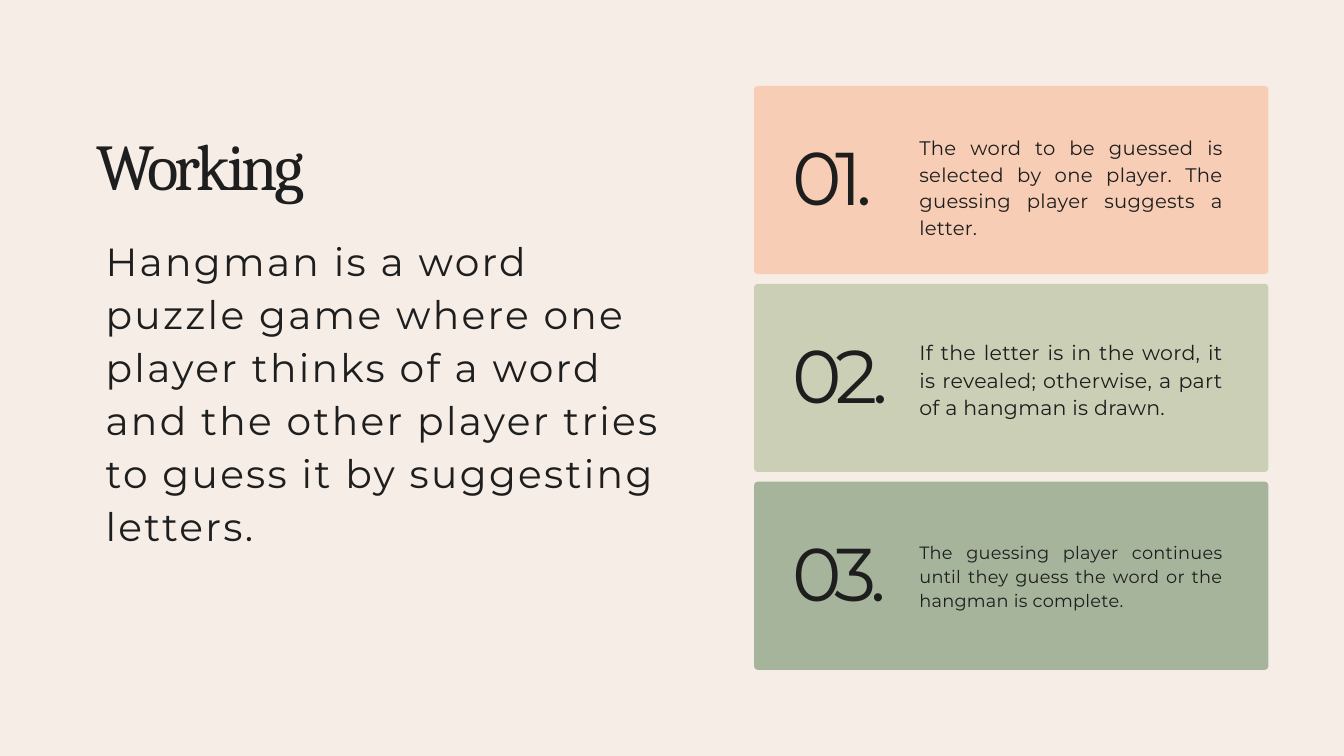
from dataclasses import dataclass

from pptx import Presentation
from pptx.dml.color import RGBColor
from pptx.enum.shapes import MSO_SHAPE
from pptx.enum.text import MSO_ANCHOR, MSO_AUTO_SIZE, PP_ALIGN
from pptx.oxml.ns import qn
from pptx.util import Pt

ROUNDED = MSO_SHAPE.ROUNDED_RECTANGLE
TOP = MSO_ANCHOR.TOP
FIXED = MSO_AUTO_SIZE.NONE
LEFT = PP_ALIGN.LEFT
JUSTIFY = PP_ALIGN.JUSTIFY
TITLE_AND_CONTENT = 1


@dataclass(frozen=True)
class Theme:
    background: str = "F5EDE6"
    ink: str = "1E1E1E"
    cards: tuple = ("F7CEB5", "CBCFB5", "A6B49C")
    heading_font: str = "Cambria"
    body_font: str = "Montserrat"
    title_size: float = 70
    body_size: float = 42
    number_size: float = 80
    step_sizes: tuple = (21, 22, 19)


@dataclass(frozen=True)
class Box:
    left: float
    top: float
    width: float
    height: float

    def inner(self, left, top, width, height):
        return Box(self.left + left, self.top + top, width, height)

    def lengths(self):
        return [Pt(value) for value in (self.left, self.top, self.width, self.height)]


THEME = Theme()
INTRO = (
    "Hangman is a word puzzle game where one player thinks of a word "
    "and the other player tries to guess it by suggesting letters."
)
STEPS = (
    {"text": "The word to be guessed is selected by one player. "
             "The guessing player suggests a letter.",
     "top": 50.4, "height": 110, "leading": 28.4},
    {"text": "If the letter is in the word, it is revealed; "
             "otherwise, a part of a hangman is drawn.",
     "top": 56.9, "height": 86.4, "leading": 29.7},
    {"text": "The guessing player continues until they guess the word "
             "or the hangman is complete.",
     "top": 61.9, "height": 75.6, "leading": 25.6},
)
CARD_GAP = 10.4
CARD_RADIUS = 4


def set_attributes(target, values):
    for name, value in values.items():
        setattr(target, name, value)


def write_text(shape, box, text, size, leading, tracking,
               font=THEME.body_font, alignment=LEFT):
    placement = zip(("left", "top", "width", "height"), box.lengths())
    set_attributes(shape, dict(placement))
    frame = shape.text_frame
    set_attributes(frame, {
        "margin_left": 0, "margin_top": 0, "margin_right": 0, "margin_bottom": 0,
        "word_wrap": True, "auto_size": FIXED, "vertical_anchor": TOP,
    })
    paragraph = frame.paragraphs[0]
    set_attributes(paragraph, {
        "alignment": alignment, "line_spacing": Pt(leading), "space_before": Pt(0),
    })
    run = paragraph.add_run()
    run.text = text
    set_attributes(run.font, {"name": font, "size": Pt(size)})
    run.font.color.rgb = RGBColor.from_string(THEME.ink)
    run.font._element.set("spc", str(round(tracking * 100)))
    return paragraph


def remove_bullet(paragraph):
    properties = paragraph._p.get_or_add_pPr()
    properties.set("marL", "0")
    properties.set("indent", "0")
    properties.append(properties.makeelement(qn("a:buNone"), {}))


def add_introduction(slide, box):
    write_text(slide.shapes.title, box.inner(0, 0, 607, 89.3), "Working",
               THEME.title_size, 90.3, -4, font=THEME.heading_font)
    paragraph = write_text(slide.placeholders[1], box.inner(9.4, 120.2, 607, 335.5),
                           INTRO, THEME.body_size, 56.7, 2.5)
    remove_bullet(paragraph)


def add_card(slide, box, number, step, color, size):
    card = slide.shapes.add_shape(ROUNDED, *box.lengths())
    card.adjustments[0] = CARD_RADIUS / box.height
    card.shadow.inherit = False
    card.fill.solid()
    card.fill.fore_color.rgb = RGBColor.from_string(color)
    card.line.fill.background()

    number_box = box.inner(41, 67.7, 124.5, 80.6)
    write_text(slide.shapes.add_textbox(*number_box.lengths()), number_box,
               f"{number:02}.", THEME.number_size, 76.8, -6.6)
    step_box = box.inner(177, step["top"], 325.4, step["height"])
    write_text(slide.shapes.add_textbox(*step_box.lengths()), step_box,
               step["text"], size, step["leading"], 0.3, alignment=JUSTIFY)


def add_steps(slide, box):
    height = (box.height - CARD_GAP * (len(STEPS) - 1)) / len(STEPS)
    rows = zip(STEPS, THEME.cards, THEME.step_sizes)
    for index, (step, color, size) in enumerate(rows):
        card_box = box.inner(0, index * (height + CARD_GAP), box.width, height)
        add_card(slide, card_box, index + 1, step, color, size)


def main():
    presentation = Presentation()
    set_attributes(presentation, {"slide_width": Pt(1440), "slide_height": Pt(810)})
    slide = presentation.slides.add_slide(presentation.slide_layouts[TITLE_AND_CONTENT])
    slide.background.fill.solid()
    slide.background.fill.fore_color.rgb = RGBColor.from_string(THEME.background)
    add_introduction(slide, Box(103.7, 128.2, 616.4, 455.7))
    add_steps(slide, Box(808, 92.1, 551, 625.6))
    presentation.save("out.pptx")


if __name__ == "__main__":
    main()
